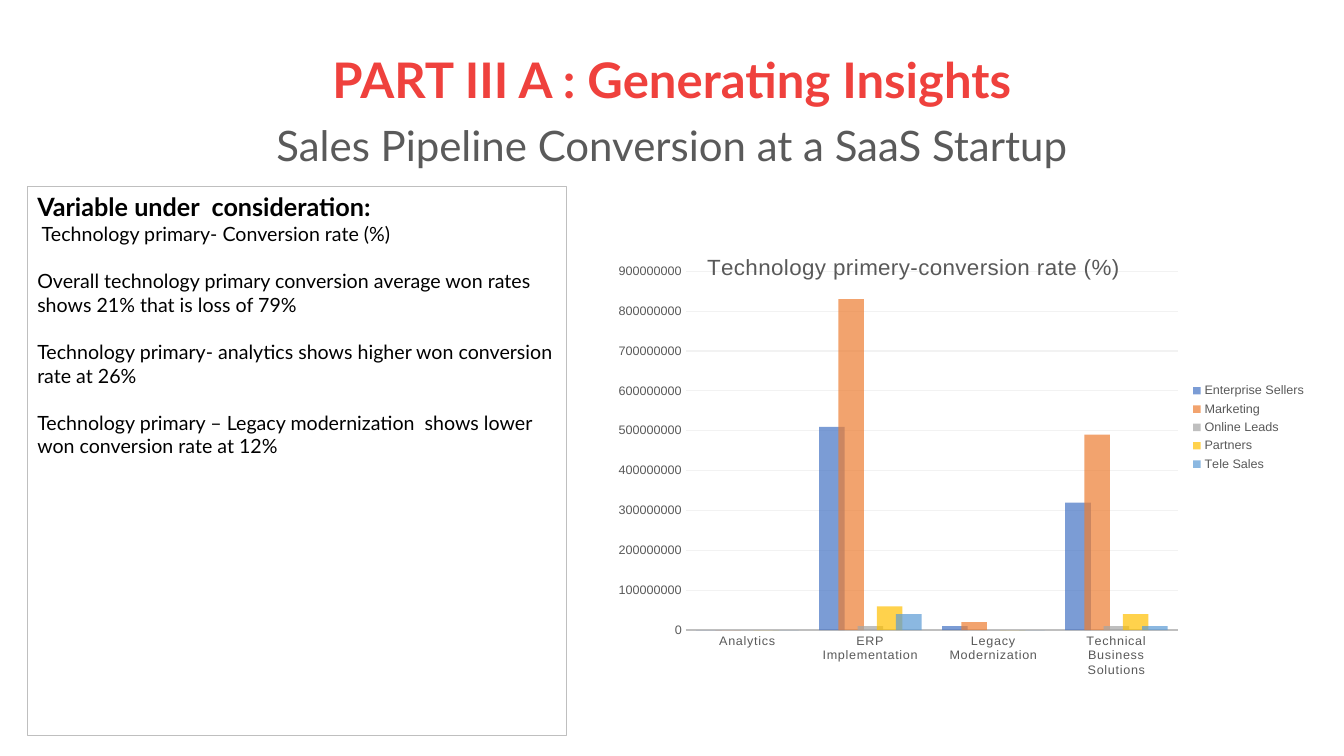
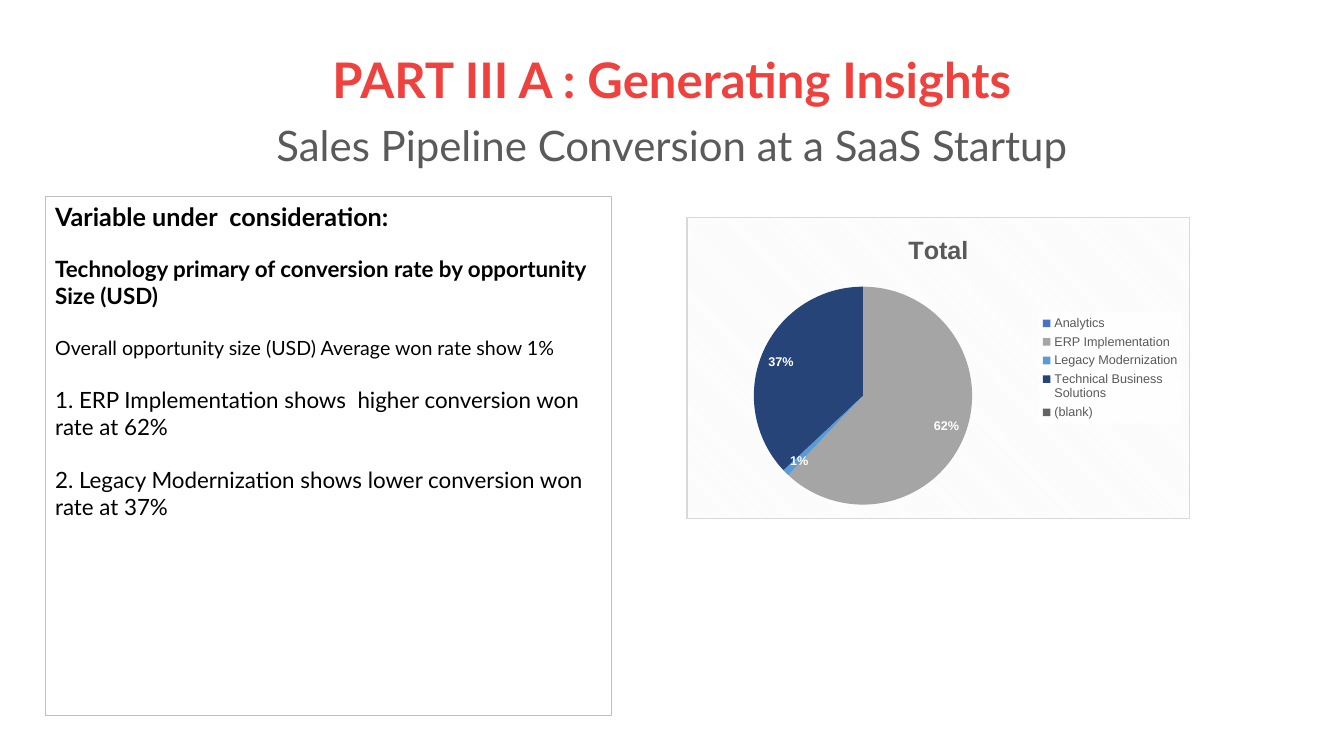
"""Build two slides of sales pipeline insights with charts."""
import dataclasses

import lxml.etree
import pptx
import pptx.chart.chart
import pptx.chart.data
import pptx.dml.color
import pptx.enum.chart
import pptx.enum.shapes
import pptx.enum.text
import pptx.oxml
import pptx.oxml.ns
import pptx.slide
import pptx.text.text
import pptx.util

Cm = pptx.util.Cm
Pt = pptx.util.Pt
Kind = pptx.enum.chart.XL_CHART_TYPE
RED, GREY, BLACK, WHITE = "EF413D", "5A5A5A", "000000", "FFFFFF"
LABEL, RULE, GRID = "595959", "BFBFBF", "F2F2F2"
GROUPS = ["Analytics", "ERP Implementation", "Legacy Modernization", "Technical Business Solutions"]
SALES = {
    "Enterprise Sellers": ("4472C4", (0, 510, 10, 320)),
    "Marketing": ("ED7D31", (0, 830, 20, 490)),
    "Online Leads": ("A5A5A5", (0, 10, 0, 10)),
    "Partners": ("FFC000", (0, 60, 0, 40)),
    "Tele Sales": ("5B9BD5", (0, 40, 0, 10)),
}
MILLION = 1_000_000
SLICES = ("4472C4", "A5A5A5", "5B9BD5", "264478", "636363")


@dataclasses.dataclass(frozen=True)
class Box:
    left: float
    top: float
    width: float
    height: float

    def span(self) -> tuple:
        return Cm(self.left), Cm(self.top), Cm(self.width), Cm(self.height)


@dataclasses.dataclass(frozen=True)
class Line:
    text: str
    size: float = 14
    bold: bool = False
    gap: float = 0
    hue: str = BLACK


TITLE = (
    Line("PART III A : Generating Insights", 35, True, 0, RED),
    Line("Sales Pipeline Conversion at a SaaS Startup", 30, False, 11, GREY),
)
HEAD = Line("Variable under  consideration:", 18, True)
RATES = (
    HEAD,
    Line(" Technology primary- Conversion rate (%)"),
    Line("Overall technology primary conversion average won rates shows 21% that is loss of 79%", gap=17),
    Line("Technology primary- analytics shows higher won conversion rate at 26%", gap=17),
    Line("Technology primary – Legacy modernization  shows lower won conversion rate at 12%", gap=17),
)
SIZES = (
    HEAD,
    Line("Technology primary of conversion rate by opportunity", 16, True, 17),
    Line("Size (USD)", 16, True),
    Line("Overall opportunity size (USD) Average won rate show 1%", gap=19),
    Line("1. ERP Implementation shows  higher conversion won rate at 62%", 16, gap=19),
    Line("2. Legacy Modernization shows lower conversion won rate at 37%", 16, gap=19),
)


def tint(code: str) -> pptx.dml.color.RGBColor:
    return pptx.dml.color.RGBColor.from_string(code)


def style(font: pptx.text.text.Font, size: float, hue: str, bold: bool = False, name: str = "Arial") -> None:
    font.name, font.size, font.bold = name, Pt(size), bold
    font.color.rgb = tint(hue)


def write(frame: pptx.text.text.TextFrame, lines: tuple[Line, ...], align: int, space: float = 1) -> None:
    frame.word_wrap = True
    for rank, line in enumerate(lines):
        para = frame.add_paragraph() if rank else frame.paragraphs[0]
        para.text = line.text
        para.alignment, para.line_spacing = align, space
        para.space_before = Pt(line.gap)
        style(para.font, line.size, line.hue, line.bold, "Lato")


def start(deck: pptx.presentation.Presentation, box: Box, lines: tuple[Line, ...]) -> pptx.slide.Slide:
    slide = deck.slides.add_slide(deck.slide_layouts[6])
    frame = slide.shapes.add_textbox(*Box(2.33, 1.02, 29.21, 3.68).span()).text_frame
    frame.vertical_anchor = pptx.enum.text.MSO_ANCHOR.MIDDLE
    write(frame, TITLE, pptx.enum.text.PP_ALIGN.CENTER, 0.9)
    panel = slide.shapes.add_shape(pptx.enum.shapes.MSO_SHAPE.RECTANGLE, *box.span())
    panel.shadow.inherit = False
    panel.fill.background()
    panel.line.color.rgb, panel.line.width = tint(RULE), Pt(0.75)
    panel.text_frame.vertical_anchor = pptx.enum.text.MSO_ANCHOR.TOP
    write(panel.text_frame, lines, pptx.enum.text.PP_ALIGN.LEFT)
    return slide


def place(node: lxml.etree.ElementBase, rank: int, inner: bool = False, **parts: float) -> None:
    for old in node.xpath("./c:layout"):
        node.remove(old)
    target = '<c:layoutTarget val="inner"/>' if inner else ""
    modes = '<c:xMode val="edge"/><c:yMode val="edge"/>'
    sides = "".join(f'<c:{key} val="{part}"/>' for key, part in parts.items())
    space = pptx.oxml.ns.nsdecls("c")
    node.insert(rank, pptx.oxml.parse_xml(
        f"<c:layout {space}><c:manualLayout>{target}{modes}{sides}</c:manualLayout></c:layout>"))


def coat(node: lxml.etree.ElementBase, fill: str, edge: str = "<a:noFill/>") -> None:
    space = pptx.oxml.ns.nsdecls("c", "a")
    node.addnext(pptx.oxml.parse_xml(f'<c:spPr {space}>{fill}<a:ln w="9525">{edge}</a:ln></c:spPr>'))


def solid(code: str, alpha: int = 100) -> str:
    return f'<a:solidFill><a:srgbClr val="{code}"><a:alpha val="{alpha * 1000}"/></a:srgbClr></a:solidFill>'


def plot(slide: pptx.slide.Slide, kind: int, box: Box, data: pptx.chart.data.CategoryChartData,
         title: Line, area: tuple[float, ...]) -> pptx.chart.chart.Chart:
    chart = slide.shapes.add_chart(kind, *box.span(), data).chart
    style(chart.font, 10, BLACK)
    chart.has_title = chart.has_legend = True
    para = chart.chart_title.text_frame.paragraphs[0]
    para.text = title.text
    style(para.font, title.size, title.hue, title.bold)
    chart.legend.position = pptx.enum.chart.XL_LEGEND_POSITION.RIGHT
    chart.legend.include_in_layout = False
    style(chart.legend.font, 9, LABEL)
    place(chart._chartSpace.xpath("c:chart/c:plotArea")[0], 0, True, **dict(zip("xywh", area)))
    return chart


def bars(slide: pptx.slide.Slide) -> None:
    data = pptx.chart.data.CategoryChartData()
    data.categories = GROUPS
    for name, (_, sums) in SALES.items():
        data.add_series(name, [total * MILLION for total in sums])
    title = Line("Technology primery-conversion rate (%)", 16, hue=LABEL)
    chart = plot(slide, Kind.COLUMN_CLUSTERED, Box(14.99, 4.7, 18.19, 12.37), data, title,
                 (0.126, 0.176, 0.682, 0.745))
    coat(chart._chartSpace.xpath("c:chart")[0], "<a:noFill/>")
    heading = chart.chart_title._element
    place(heading, 1, x=0.15, y=0.13)
    heading.xpath(".//a:defRPr")[0].set("spc", "40")
    group = chart.plots[0]
    group.gap_width, group.overlap, group.vary_by_categories = 80, 25, False
    for series in group.series:
        series.format.fill.solid()
        series.format.fill.fore_color.rgb = tint(SALES[series.name][0])
        shade = series._element.xpath("./c:spPr//a:srgbClr")[0]
        lxml.etree.SubElement(shade, pptx.oxml.ns.qn("a:alpha"), val="70000")
    for axis in (chart.category_axis, chart.value_axis):
        axis.major_tick_mark = axis.minor_tick_mark = pptx.enum.chart.XL_TICK_MARK.NONE
        style(axis.tick_labels.font, 9, LABEL)
    base, scale = chart.category_axis, chart.value_axis
    base._element.xpath(".//a:defRPr")[0].set("spc", "50")
    base.format.line.color.rgb, base.format.line.width = tint(RULE), Pt(1.25)
    scale.minimum_scale, scale.maximum_scale, scale.major_unit = 0, 900 * MILLION, 100 * MILLION
    scale.format.line.fill.background()
    grid = scale.major_gridlines.format.line
    grid.color.rgb, grid.width = tint(GRID), Pt(0.75)


def pie(slide: pptx.slide.Slide) -> None:
    data = pptx.chart.data.CategoryChartData()
    data.categories = GROUPS + ["(blank)"]
    data.add_series("Total", (0, 62, 1, 37, None))
    chart = plot(slide, Kind.PIE, Box(17.3, 5.46, 12.7, 7.62), data,
                 Line("Total", 18, True, hue=LABEL), (0.133, 0.23, 0.434, 0.725))
    weave = (f'<a:pattFill prst="dkDnDiag"><a:fgClr><a:srgbClr val="{GRID}"/></a:fgClr>'
             f'<a:bgClr><a:srgbClr val="{WHITE}"/></a:bgClr></a:pattFill>')
    coat(chart._chartSpace.xpath("c:chart")[0], weave, solid("D9D9D9"))
    coat(chart.legend._element.xpath("c:overlay")[0], solid(WHITE, 78))
    series = chart.plots[0].series[0]
    for rank, hue in enumerate(SLICES):
        fill = series.points[rank].format.fill
        fill.solid()
        fill.fore_color.rgb = tint(hue)
    labels = series.data_labels
    labels.show_percentage, labels.show_value = True, False
    labels.number_format, labels.number_format_is_linked = "0%", False
    labels.position = pptx.enum.chart.XL_LABEL_POSITION.INSIDE_END
    style(labels.font, 9, WHITE, True)


def main() -> None:
    deck = pptx.Presentation()
    deck.slide_width, deck.slide_height = Cm(33.87), Cm(19.05)
    bars(start(deck, Box(0.69, 4.7, 13.59, 13.84), RATES))
    pie(start(deck, Box(1.14, 4.95, 14.27, 13.08), SIZES))
    deck.save("out.pptx")


if __name__ == "__main__":
    main()
